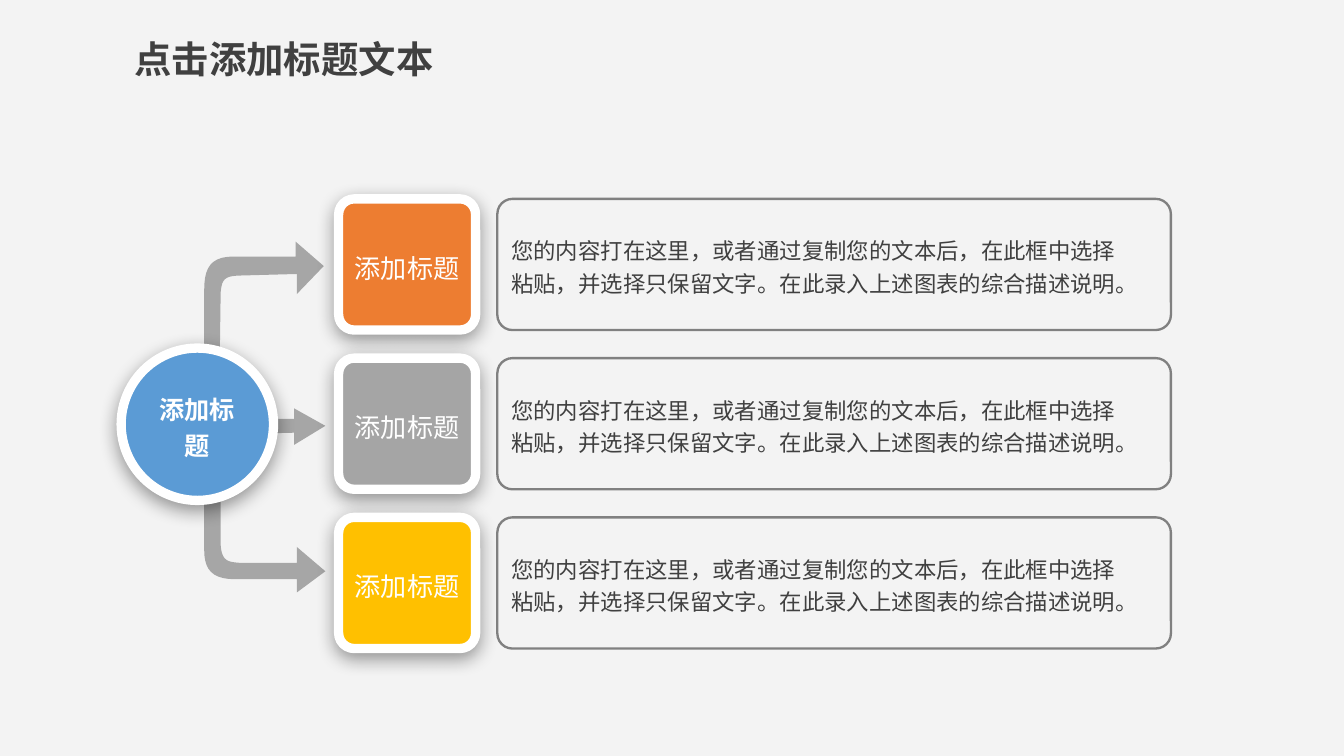
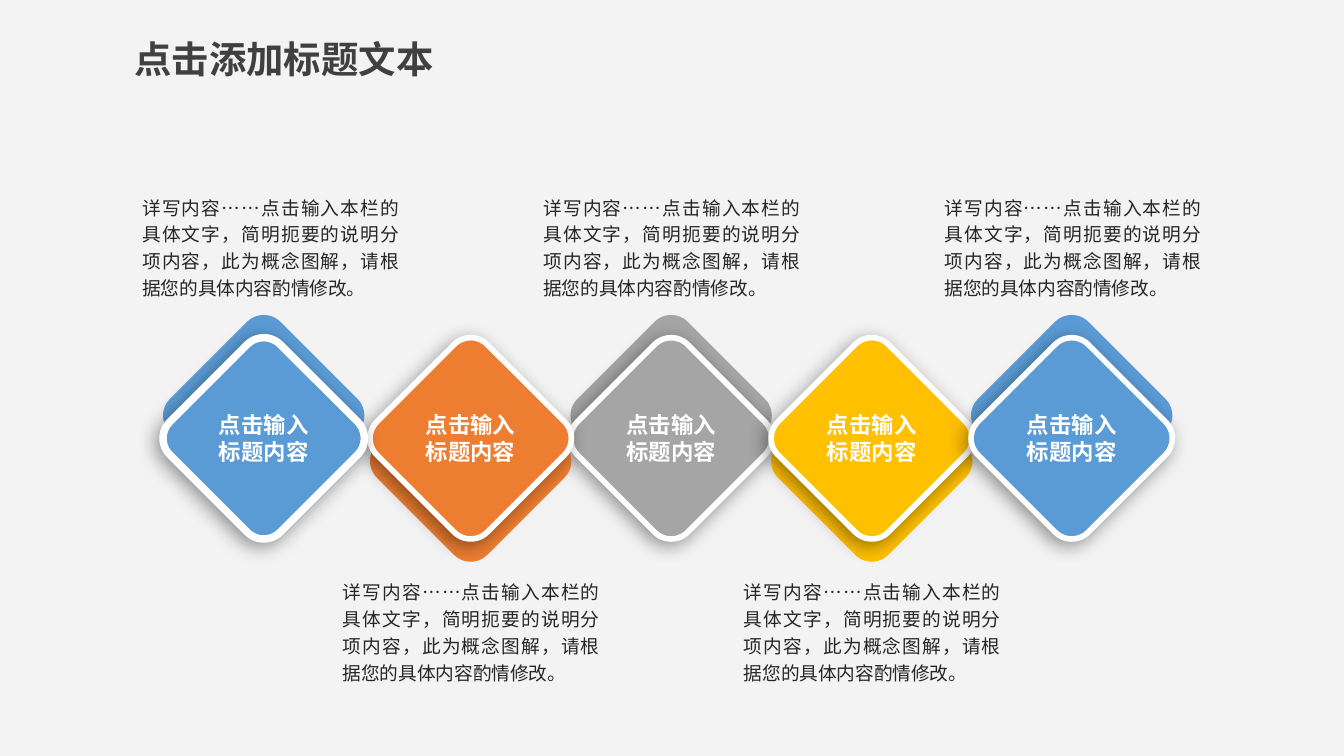
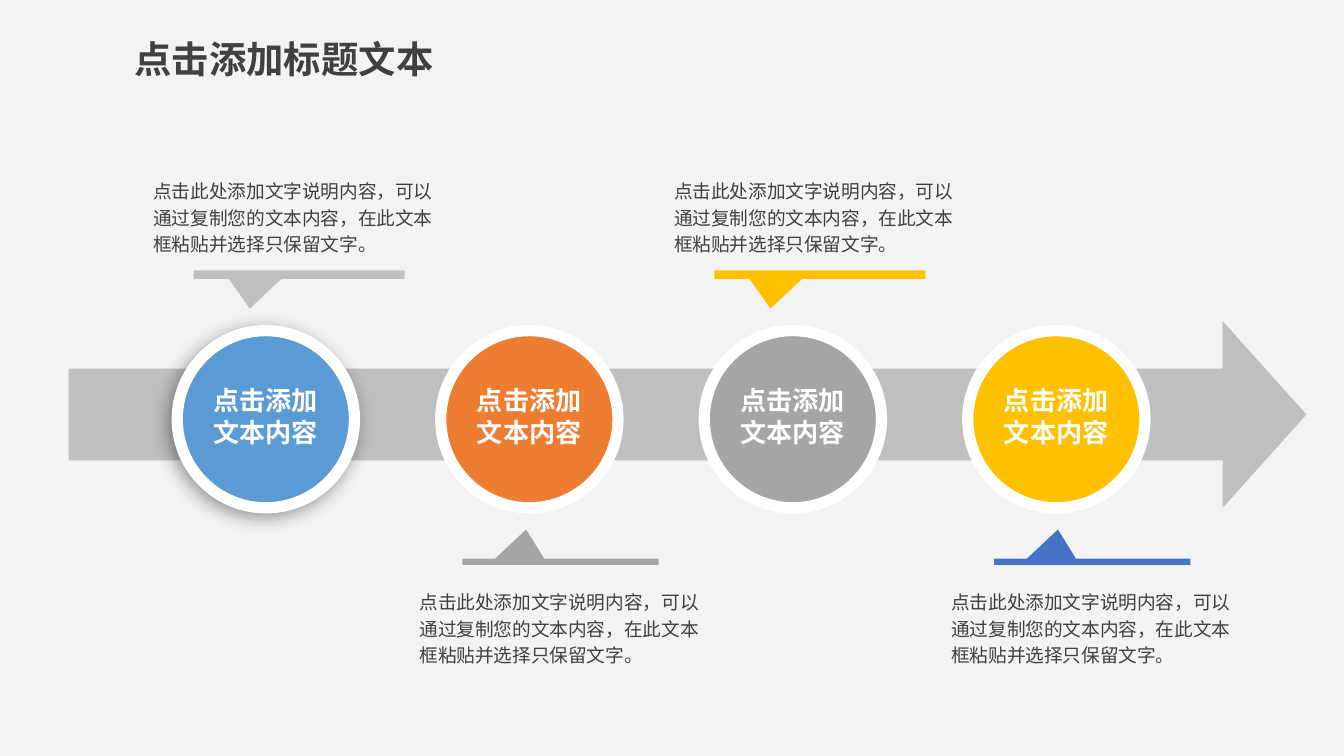
from dataclasses import dataclass

from lxml.etree import SubElement
from pptx import Presentation
from pptx.dml.color import RGBColor
from pptx.enum.shapes import MSO_SHAPE
from pptx.enum.text import MSO_ANCHOR, MSO_AUTO_SIZE, PP_ALIGN
from pptx.oxml.ns import qn
from pptx.util import Cm, Pt


@dataclass(frozen=True)
class Theme:
    """Colours, font and type sizes shared by all slides."""
    font: str = "Noto Sans CJK SC"
    background: str = "F3F3F3"
    white: str = "FFFFFF"
    ink: str = "404040"
    dark_ink: str = "262626"
    blue: str = "5B9BD5"
    orange: str = "ED7D31"
    grey: str = "A5A5A5"
    yellow: str = "FFC000"
    royal: str = "4472C4"
    arrow: str = "A6A6A6"
    band: str = "BFBFBF"
    frame: str = "808080"
    title_size: float = 20
    heading_size: float = 14
    hub_size: float = 13.5
    body_size: float = 12
    note_size: float = 10


THEME = Theme()
NARROW_INSETS = (0.18, 0.08)
BOX_INSETS = (0.25, 0.13)
NOTE_INSETS = (0.23, 0.13)


def bezier(start, control_1, control_2, end, steps=10):
    """Return points along a cubic curve, without its start."""
    points = []
    for step in range(1, steps + 1):
        t = step / steps
        u = 1 - t
        weights = (u ** 3, 3 * u * u * t, 3 * u * t * t, t ** 3)
        corners = (start, control_1, control_2, end)
        points.append(tuple(sum(w * corner[axis] for w, corner in zip(weights, corners))
                            for axis in (0, 1)))
    return points


class Deck:
    """Holds the presentation, its style and the current slide."""

    def __init__(self, theme):
        """Start a widescreen presentation with a plain background."""
        self.theme = theme
        self.slide = None
        self.presentation = Presentation()
        self.presentation.slide_width = Cm(25.4)
        self.presentation.slide_height = Cm(14.29)
        backdrop = self.presentation.slide_master.background.fill
        backdrop.solid()
        backdrop.fore_color.rgb = RGBColor.from_string(theme.background)

    def new_slide(self, title):
        """Add a title-only slide and set its title."""
        self.slide = self.presentation.slides.add_slide(self.presentation.slide_layouts[5])
        heading = self.slide.shapes.title
        heading.left, heading.top, heading.width, heading.height = map(
            Cm, (2.29, 0.56, 6.22, 1.12))
        self.set_text(heading, [title], self.theme.title_size, self.theme.ink, bold=True,
                      anchor=MSO_ANCHOR.TOP, wrap=False, grow=True)

    def set_text(self, holder, lines, size, color, bold=False, align=PP_ALIGN.LEFT,
                 spacing=1.0, anchor=MSO_ANCHOR.MIDDLE, insets=BOX_INSETS, wrap=True,
                 grow=False):
        """Fill a shape with one paragraph for each line."""
        frame = holder.text_frame
        frame.word_wrap = wrap
        frame.auto_size = MSO_AUTO_SIZE.SHAPE_TO_FIT_TEXT if grow else MSO_AUTO_SIZE.NONE
        frame.vertical_anchor = anchor
        frame.margin_left = frame.margin_right = Cm(insets[0])
        frame.margin_top = frame.margin_bottom = Cm(insets[1])
        for index, line in enumerate(lines):
            paragraph = frame.add_paragraph() if index else frame.paragraphs[0]
            paragraph.alignment = align
            paragraph.line_spacing = spacing
            run = paragraph.add_run()
            run.text = line
            run.font.size = Pt(size)
            run.font.bold = bold
            run.font.color.rgb = RGBColor.from_string(color)
            run.font.name = self.theme.font
            SubElement(run.font._element, qn("a:ea"), typeface=self.theme.font)

    def text(self, left, top, width, height, lines, size, color, **style):
        """Add a text box."""
        box = self.slide.shapes.add_textbox(Cm(left), Cm(top), Cm(width), Cm(height))
        self.set_text(box, lines, size, color, **style)

    def paint(self, shape, fill=None, line=None, weight=1.0, shadow_angle=None):
        """Set fill, outline and an optional soft shadow."""
        if fill:
            shape.fill.solid()
            shape.fill.fore_color.rgb = RGBColor.from_string(fill)
        else:
            shape.fill.background()
        if line:
            shape.line.color.rgb = RGBColor.from_string(line)
            shape.line.width = Pt(weight)
        else:
            shape.line.fill.background()
        shape.shadow.inherit = False
        if shadow_angle is not None:
            effects = shape._element.spPr.find(qn("a:effectLst"))
            shadow = SubElement(effects, qn("a:outerShdw"), blurRad=str(Pt(10)),
                                dist=str(Pt(3)), dir=str(shadow_angle * 60000),
                                algn="ctr", rotWithShape="0")
            tint = SubElement(shadow, qn("a:srgbClr"), val="000000")
            SubElement(tint, qn("a:alpha"), val="40000")

    def shape(self, kind, left, top, width, height, adjust=(), rotation=0, **look):
        """Add a preset shape and return it."""
        shape = self.slide.shapes.add_shape(kind, Cm(left), Cm(top), Cm(width), Cm(height))
        for index, value in enumerate(adjust):
            shape.adjustments[index] = value
        shape.rotation = rotation
        self.paint(shape, **look)
        return shape

    def outline(self, points, fill):
        """Add a closed free outline."""
        corners = [(Cm(x), Cm(y)) for x, y in points]
        builder = self.slide.shapes.build_freeform(*corners[0])
        builder.add_line_segments(corners[1:], close=True)
        self.paint(builder.convert_to_shape(), fill=fill)


def hub_slide(deck):
    """Build the hub with three branches."""
    deck.new_slide("点击添加标题文本")
    lower_branch = [
        (4.17, 8.41), (4.17, 10.29),
        *bezier((4.17, 10.29), (4.19, 10.62), (4.32, 10.62), (4.52, 10.64)),
        (5.61, 10.64), (5.61, 10.34), (6.15, 10.8), (5.61, 11.2), (5.61, 10.95), (4.45, 10.95),
        *bezier((4.45, 10.95), (4.01, 10.95), (3.86, 10.77), (3.86, 10.39)),
        (3.86, 8.36), *bezier((3.86, 8.36), (3.91, 8.03), (4.09, 8.05), (4.17, 8.41))]
    middle_branch = [(3.45, 8.23), (5.56, 8.18), (5.56, 8.41), (6.15, 8.05),
                     (5.56, 7.72), (5.56, 7.92), (3.45, 7.92)]
    upper_branch = [
        (4.14, 7.8), (4.17, 5.61),
        *bezier((4.17, 5.61), (4.17, 5.23), (4.29, 5.23), (4.5, 5.21)),
        (5.61, 5.18), (5.61, 5.56), (6.12, 5.03), (5.59, 4.57), (5.59, 4.85), (4.42, 4.85),
        *bezier((4.42, 4.85), (3.99, 4.85), (3.86, 5.05), (3.86, 5.49)),
        (3.86, 7.85), *bezier((3.86, 7.85), (3.91, 8.23), (4.09, 8.2), (4.14, 7.8))]
    for branch in (lower_branch, middle_branch, upper_branch):
        deck.outline(branch, THEME.arrow)

    description = ["您的内容打在这里，或者通过复制您的文本后，在此框中选择",
                   "粘贴，并选择只保留文字。在此录入上述图表的综合描述说明。"]
    caption = dict(align=PP_ALIGN.CENTER, spacing=1.2, insets=NARROW_INSETS)
    raised = dict(line=THEME.white, weight=5, shadow_angle=90)
    for row, color in enumerate((THEME.orange, THEME.grey, THEME.yellow)):
        top = 3.76 + 3.01 * row
        panel = deck.shape(MSO_SHAPE.ROUNDED_RECTANGLE, 9.4, top, 12.73, 2.48,
                           adjust=[0.115], line=THEME.frame, weight=1.25)
        deck.set_text(panel, description, THEME.body_size, THEME.ink,
                      spacing=1.2, insets=NARROW_INSETS)
        tile = deck.shape(MSO_SHAPE.ROUNDED_RECTANGLE, 6.4, top, 2.59, 2.48,
                          adjust=[0.119], fill=color, **raised)
        deck.set_text(tile, ["添加标题"], THEME.heading_size, THEME.white, **caption)
    hub = deck.shape(MSO_SHAPE.OVAL, 2.29, 6.58, 2.88, 2.88, fill=THEME.blue, **raised)
    deck.set_text(hub, ["添加标题"], THEME.hub_size, THEME.white, bold=True, **caption)


def diamond_slide(deck):
    """Build the row of five diamonds with notes above and below."""
    deck.new_slide("点击添加标题文本")
    side, front_top, shift = 2.95, 6.81, 0.43
    lefts = (3.51, 7.42, 11.21, 15.0, 18.78)
    colors = (THEME.blue, THEME.orange, THEME.grey, THEME.yellow, THEME.blue)
    for index in (2, 1, 0, 3, 4):
        points_down = index % 2 == 1
        rotation = 135 if points_down else 315
        back_top = front_top + (shift if points_down else -shift)
        rounded = dict(adjust=[0.15], rotation=rotation, fill=colors[index])
        deck.shape(MSO_SHAPE.ROUNDED_RECTANGLE, lefts[index], back_top, side, side, **rounded)
        deck.shape(MSO_SHAPE.ROUNDED_RECTANGLE, lefts[index], front_top, side, side,
                   line=THEME.white, weight=3 if index else 4, shadow_angle=135, **rounded)
    label_width = 2.51
    for left in lefts:
        deck.text(left + (side - label_width) / 2, 8.0, label_width, 0.56,
                  ["点击输入标题内容"], THEME.body_size, THEME.white,
                  bold=True, align=PP_ALIGN.CENTER)
    note = "详写内容……点击输入本栏的具体文字，简明扼要的说明分项内容，此为概念图解，请根据您的具体内容酌情修改。"
    for index in range(len(lefts)):
        deck.text(2.69 + 3.79 * index, 10.9 if index % 2 else 3.63, 4.85, 2.06, [note],
                  THEME.note_size, THEME.dark_ink, align=PP_ALIGN.JUSTIFY, spacing=1.2,
                  anchor=MSO_ANCHOR.TOP, insets=(0, 0), grow=True)


def timeline_slide(deck):
    """Build the arrow with four stages and their callouts."""
    deck.new_slide("点击添加标题文本")
    deck.shape(MSO_SHAPE.DOWN_ARROW, 11.23, -3.86, 3.53, 23.39,
               adjust=[0.491, 0.448], rotation=270, fill=THEME.band)
    diameter, label_width = 3.35, 4.27
    for index, color in enumerate((THEME.blue, THEME.orange, THEME.grey, THEME.yellow)):
        left = 3.35 + 4.98 * index
        deck.shape(MSO_SHAPE.OVAL, left, 6.25, diameter, diameter, fill=color,
                   line=THEME.white, weight=6, shadow_angle=None if index else 135)
        deck.text(left + (diameter - label_width) / 2, 7.14, label_width, 1.37,
                  ["点击添加", "文本内容"], THEME.heading_size, THEME.white, bold=True,
                  align=PP_ALIGN.CENTER, anchor=MSO_ANCHOR.TOP)

    note = "点击此处添加文字说明内容，可以通过复制您的文本内容，在此文本框粘贴并选择只保留文字。"
    upper = dict(top=5.11, width=3.99, height=0.16, adjust=[-0.234, 4.033])
    lower = dict(top=10.56, width=3.71, height=0.12, adjust=[-0.175, -5.095])
    callouts = ((2.67, 3.18, 0.99, upper, THEME.band), (7.7, 10.95, 1.04, lower, THEME.grey),
                (12.51, 3.18, 0.99, upper, THEME.yellow), (17.75, 10.95, 1.04, lower, THEME.royal))
    for left, note_top, indent, pointer, color in callouts:
        deck.shape(MSO_SHAPE.RECTANGULAR_CALLOUT, left + indent, fill=color, **pointer)
        deck.text(left, note_top, 5.74, 1.78, [note], THEME.note_size, THEME.ink, spacing=1.2,
                  anchor=MSO_ANCHOR.TOP, insets=NOTE_INSETS, grow=True)


deck = Deck(THEME)
hub_slide(deck)
diamond_slide(deck)
timeline_slide(deck)
deck.presentation.save("out.pptx")
